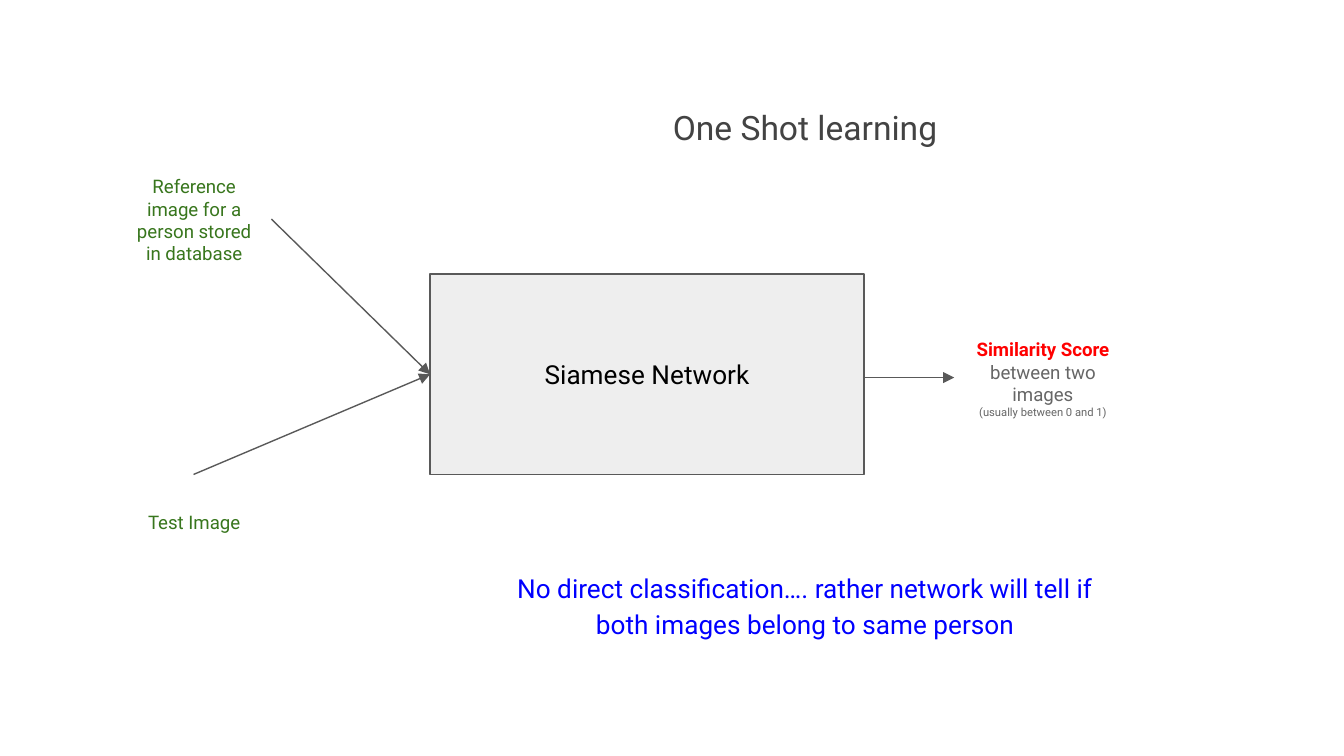
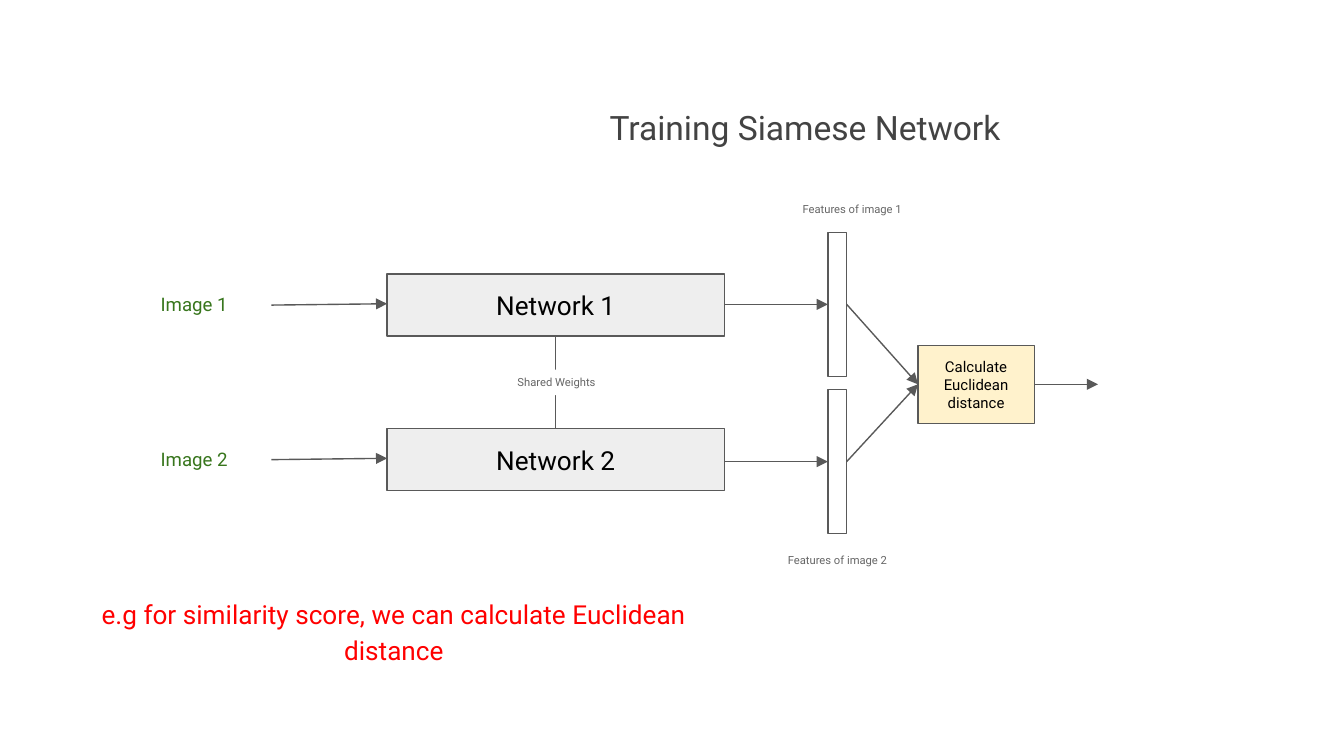
"""Build two slides that explain one shot learning with a Siamese network."""
import pptx
import pptx.dml.color
import pptx.enum.shapes
import pptx.enum.text
import pptx.oxml
import pptx.oxml.ns
import pptx.util

FONT = "Roboto"
GREY, LIGHT, CREAM, WHITE = "595959", "EEEEEE", "FFF2CC", "FFFFFF"
TITLE, INK, GREEN, NOTE, RED, BLUE = "434343", "000000", "38761D", "666666", "FF0000", "0000FF"
TITLE_PLACE = (266.4, 48.2, 329.8, 36.7)
LABEL_LEFT, LABEL_WIDTH, LABEL_HEIGHT = 62.6, 82.8, 51.1
CAPTION_WIDTH, CAPTION_HEIGHT = 329.8, 51.1
NETWORK_TOP = 146.9

ONE_SHOT = {
    "title": "One Shot learning",
    "network": "Siamese Network",
    "inputs": [
        ("Reference image for a person stored in database", 92.2, (145.4, 117.4)),
        ("Test Image", 254.2, (103.7, 254.2)),
    ],
    "score": [
        [("Similarity Score ", 10, RED, True), ("between two images", 10, NOTE, False)],
        [("(usually between 0 and 1)", 6, NOTE, False)],
    ],
    "caption": "No direct classification…. rather network will tell if both images belong to same person",
}
TRAINING = {
    "title": "Training Siamese Network",
    "branches": [
        ("Image 1", "Network 1", "Features of image 1", (396, 105.1)),
        ("Image 2", "Network 2", "Features of image 2", (388.1, 293)),
    ],
    "shared": "Shared Weights",
    "distance": "Calculate Euclidean distance",
    "caption": "e.g for similarity score, we can calculate Euclidean distance",
}


def color(value):
    return pptx.dml.color.RGBColor.from_string(value)


def points(values):
    return [pptx.util.Pt(value) for value in values]


def write(shape, paragraphs, spacing=None):
    frame = shape.text_frame
    frame.word_wrap = True
    frame.vertical_anchor = pptx.enum.text.MSO_ANCHOR.MIDDLE
    frame.margin_left = frame.margin_right = pptx.util.Pt(7.2)
    frame.margin_top = frame.margin_bottom = pptx.util.Pt(7.2)
    for index, spans in enumerate(paragraphs):
        para = frame.add_paragraph() if index else frame.paragraphs[0]
        para.alignment = pptx.enum.text.PP_ALIGN.CENTER
        if spacing:
            para.line_spacing = spacing
        for text, size, ink, bold in spans:
            span = para.add_run()
            span.text = text
            span.font.name = FONT
            span.font.size = pptx.util.Pt(size)
            span.font.bold = bold
            span.font.color.rgb = color(ink)


def add_text(page, place, text, size, ink, spacing=None):
    box = page.shapes.add_textbox(*points(place))
    write(box, [[(text, size, ink, False)]], spacing)


def add_box(page, place, fill, text="", size=14, ink=INK, outline=True):
    box = page.shapes.add_shape(pptx.enum.shapes.MSO_SHAPE.RECTANGLE, *points(place))
    box.shadow.inherit = False
    box.fill.solid()
    box.fill.fore_color.rgb = color(fill)
    if outline:
        box.line.color.rgb = color(GREY)
        box.line.width = pptx.util.Pt(0.75)
    else:
        box.line.fill.background()
    if text:
        write(box, [[(text, size, ink, False)]])


def add_line(page, start, end, arrow=True):
    line = page.shapes.add_connector(
        pptx.enum.shapes.MSO_CONNECTOR.STRAIGHT, *points(start + end))
    line.line.color.rgb = color(GREY)
    line.line.width = pptx.util.Pt(0.75)
    if arrow:
        outline = line.line._get_or_add_ln()
        tail = pptx.oxml.parse_xml(f'<a:tailEnd {pptx.oxml.ns.nsdecls("a")} type="triangle"/>')
        outline.append(tail)
    effects = pptx.oxml.parse_xml(f'<a:effectLst {pptx.oxml.ns.nsdecls("a")}/>')
    line._element.spPr.append(effects)


def add_label(page, top, text):
    add_text(page, (LABEL_LEFT, top, LABEL_WIDTH, LABEL_HEIGHT), text, 10, GREEN)


def add_caption(page, left, top, text, ink):
    add_text(page, (left, top, CAPTION_WIDTH, CAPTION_HEIGHT), text, 14, ink, 1.15)


def add_page(deck, title):
    page = deck.slides.add_slide(deck.slide_layouts[6])
    add_text(page, TITLE_PLACE, title, 18, TITLE, 1.15)
    return page


def build_one_shot(deck):
    page = add_page(deck, ONE_SHOT["title"])
    left, width, height = 230.4, 232.6, 107.3
    add_box(page, (left, NETWORK_TOP, width, height), LIGHT, ONE_SHOT["network"])
    for text, top, start in ONE_SHOT["inputs"]:
        add_label(page, top, text)
        add_line(page, start, (left, NETWORK_TOP + height / 2))
    score_left, score_top = 511.2, 177.1
    score = page.shapes.add_textbox(*points((score_left, score_top, 95, LABEL_HEIGHT)))
    write(score, ONE_SHOT["score"])
    add_line(page, (462.2, 202.3), (score_left, 202.3))
    add_caption(page, TITLE_PLACE[0], 298.1, ONE_SHOT["caption"], BLUE)


def build_training(deck):
    page = add_page(deck, TRAINING["title"])
    left, width, height, step = 207.4, 180.7, 33.1, 82.8
    feature_left, feature_top, feature_width, feature_height, feature_step = 443.5, 124.6, 10.1, 77, 84.2
    distance_left, distance_top, distance_width, distance_height = 491.8, 185, 62.3, 41.8
    distance_middle = distance_top + distance_height / 2
    add_box(page, (distance_left, distance_top, distance_width, distance_height),
            CREAM, TRAINING["distance"], 8)
    for index, (image, network, feature, note_place) in enumerate(TRAINING["branches"]):
        top = NETWORK_TOP + index * step
        middle = top + height / 2
        add_label(page, middle - LABEL_HEIGHT / 2 - 0.4, image)
        add_line(page, (LABEL_LEFT + LABEL_WIDTH, middle), (left, middle - 0.7))
        add_box(page, (left, top, width, height), LIGHT, network)
        bar_top = feature_top + index * feature_step
        bar_middle = bar_top + feature_height / 2
        add_box(page, (feature_left, bar_top, feature_width, feature_height), WHITE)
        add_line(page, (left + width, bar_middle), (feature_left, bar_middle))
        add_line(page, (feature_left + feature_width, bar_middle), (distance_left, distance_middle))
        add_text(page, note_place + (121, 13.7), feature, 6, NOTE)
    center = left + width / 2
    add_line(page, (center, NETWORK_TOP + height), (center, NETWORK_TOP + step), arrow=False)
    add_box(page, (180, 198, 236.2, 13.7), WHITE, TRAINING["shared"], 6, NOTE, outline=False)
    add_line(page, (distance_left + distance_width, distance_middle), (588.2, distance_middle))
    add_caption(page, 46.1, 311.8, TRAINING["caption"], RED)


def main():
    deck = pptx.Presentation()
    deck.slide_width, deck.slide_height = points((720, 405))
    build_one_shot(deck)
    build_training(deck)
    deck.save("out.pptx")


if __name__ == "__main__":
    main()
